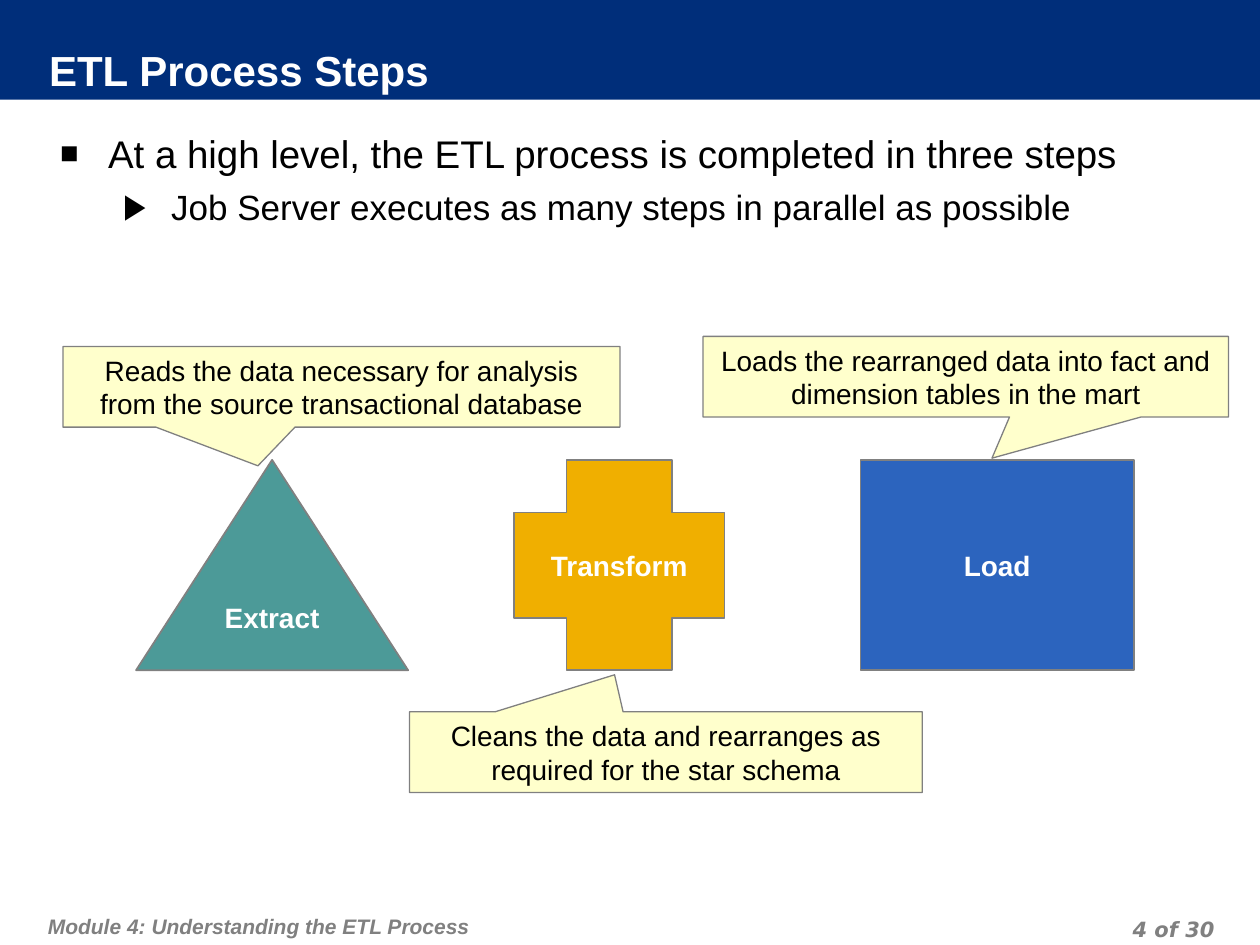
from lxml import etree
from pptx import Presentation
from pptx.dml.color import RGBColor
from pptx.enum.shapes import MSO_SHAPE
from pptx.enum.text import MSO_ANCHOR, PP_ALIGN
from pptx.oxml.ns import qn
from pptx.util import Inches, Pt

RECT = MSO_SHAPE.RECTANGLE
TRIANGLE = MSO_SHAPE.ISOSCELES_TRIANGLE
CROSS = MSO_SHAPE.CROSS
CALLOUT = MSO_SHAPE.RECTANGULAR_CALLOUT
TOP, MIDDLE = MSO_ANCHOR.TOP, MSO_ANCHOR.MIDDLE
LEFT, CENTER, RIGHT = PP_ALIGN.LEFT, PP_ALIGN.CENTER, PP_ALIGN.RIGHT

NAVY, GRAY, WHITE, BLACK, CREAM = "002E7A", "808080", "FFFFFF", "000000", "FFFFCC"
INSETS = (0.1, 0.05, 0.1, 0.05)

BULLETS = [
    # text, size, bullet, bullet size %, left margin, space before
    ("At a high level, the ETL process is completed in three steps", 22, "■", 80, 0.38, 0),
    ("Job Server executes as many steps in parallel as possible", 20, "▶", 100, 0.88, 5.5),
]
STEP_TOP, STEP_HEIGHT = 3.65, 1.67
STEPS = [
    # label, shape, left, width, adjustments, fill
    ("Extract", TRIANGLE, 1.08, 2.16, [0.5], "4C9A98"),
    ("Transform", CROSS, 4.08, 1.67, [0.25], "F0AF00"),
    ("Load", RECT, 6.83, 2.17, [], "2C64BE"),
]
NOTE_HEIGHT = 0.64
NOTES = [
    # text, left, top, width, pointer tip relative to the centre
    ("Reads the data necessary for analysis from the source transactional database",
     0.5, 2.75, 4.42, [-0.15, 0.98]),
    ("Cleans the data and rearranges as required for the star schema",
     3.25, 5.65, 4.07, [-0.1, -0.96]),
    ("Loads the rearranged data into fact and dimension tables in the mart",
     5.58, 2.67, 4.17, [0.05, 1.01]),
]


def rgb(color):
    return RGBColor.from_string(color)


def set_frame(tf, insets=INSETS, anchor=TOP, wrap=True):
    tf.word_wrap = wrap
    tf.vertical_anchor = anchor
    sides = ("margin_left", "margin_top", "margin_right", "margin_bottom")
    for side, value in zip(sides, insets):
        setattr(tf, side, Inches(value))


def write(p, text, size, color, align=LEFT, name="Arial", **style):
    p.alignment = align
    r = p.add_run()
    r.text = text
    for key, value in {"size": Pt(size), "name": name, **style}.items():
        setattr(r.font, key, value)
    r.font.color.rgb = rgb(color)


def add_text(s, box, text, size, color, insets, anchor=TOP, **style):
    tf = s.shapes.add_textbox(*map(Inches, box)).text_frame
    set_frame(tf, insets, anchor)
    p = tf.paragraphs[0]
    write(p, text, size, color, **style)
    return p


def add_figure(s, kind, box, fill, line_width=0, adjustments=()):
    sp = s.shapes.add_shape(kind, *map(Inches, box))
    sp.shadow.inherit = False
    sp.fill.solid()
    sp.fill.fore_color.rgb = rgb(fill)
    if line_width:
        sp.line.color.rgb = rgb(GRAY)
        sp.line.width = Pt(line_width)
    else:
        sp.line.fill.background()
    for i, value in enumerate(adjustments):
        sp.adjustments[i] = value
    return sp


def set_bullet(p, char, percent, margin):
    pPr = p._p.get_or_add_pPr()
    pPr.set("marL", str(Inches(margin)))
    pPr.set("indent", str(-Inches(0.38)))
    color = etree.SubElement(pPr, qn("a:buClr"))
    etree.SubElement(color, qn("a:srgbClr"), val=BLACK)
    etree.SubElement(pPr, qn("a:buSzPct"), val=str(percent * 1000))
    etree.SubElement(pPr, qn("a:buFont"), typeface="Arial")
    etree.SubElement(pPr, qn("a:buChar"), char=char)


def add_header(s, box):
    left, top, width, height = box
    add_figure(s, RECT, box, NAVY)
    add_text(s, (left + 0.39, top + 0.38, width - 2.13, height - 0.39),
             "ETL Process Steps", 24, WHITE, (0, 0, 0.05, 0.05), MIDDLE, bold=True)


def add_bullets(s, box):
    tf = s.shapes.add_textbox(*map(Inches, box)).text_frame
    set_frame(tf, (0.1, 0.1, 0.1, 0.05))
    for i, (text, size, char, percent, margin, before) in enumerate(BULLETS):
        p = tf.add_paragraph() if i else tf.paragraphs[0]
        p.level = i
        p.space_before = Pt(before)
        set_bullet(p, char, percent, margin)
        write(p, text, size, BLACK)


def add_step(s, box, label, kind, adjustments, fill):
    tf = add_figure(s, kind, box, fill, 1, adjustments).text_frame
    set_frame(tf, anchor=MIDDLE, wrap=False)
    write(tf.paragraphs[0], label, 16, WHITE, CENTER, bold=True)


def add_note(s, box, text, tip):
    tf = add_figure(s, CALLOUT, box, CREAM, 0.75, tip).text_frame
    set_frame(tf, anchor=MIDDLE)
    write(tf.paragraphs[0], text, 16, BLACK, CENTER)


def add_footer(s, box):
    left, top, width, height = box
    style = {"bold": True, "italic": True}
    insets = (0.05, 0, 0.05, 0)
    module = add_text(s, (left, top, 6.62, height),
                      "Module 4: Understanding the ETL Process", 12, GRAY, insets, **style)
    page = add_text(s, (left + width - 2.33, top + 0.02, 2.33, height),
                    "4 of 30", 12, GRAY, insets, align=RIGHT, name="DejaVu Sans", **style)
    for p in (module, page):
        p.line_spacing = Pt(18)


def main():
    prs = Presentation()
    prs.slide_width, prs.slide_height = Inches(10), Inches(7.5)
    s = prs.slides.add_slide(prs.slide_layouts[6])
    add_header(s, (0, 0, 10, 0.79))
    add_footer(s, (0.33, 7.2, 9.36, 0.25))
    add_bullets(s, (0.38, 0.93, 9.3, 6.18))
    for label, kind, left, width, adjustments, fill in STEPS:
        add_step(s, (left, STEP_TOP, width, STEP_HEIGHT), label, kind, adjustments, fill)
    for text, left, top, width, tip in NOTES:
        add_note(s, (left, top, width, NOTE_HEIGHT), text, tip)
    prs.save("out.pptx")


if __name__ == "__main__":
    main()
